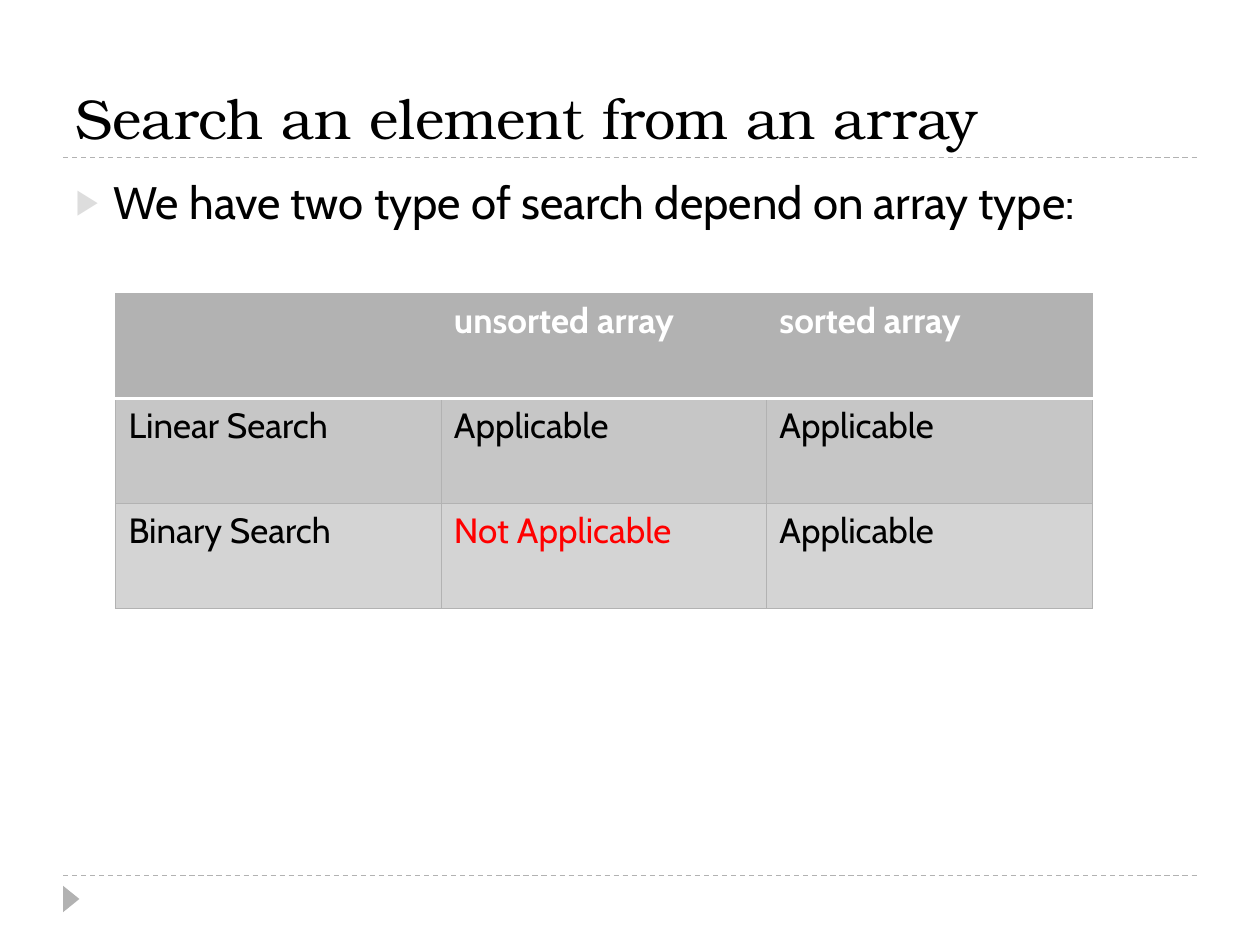
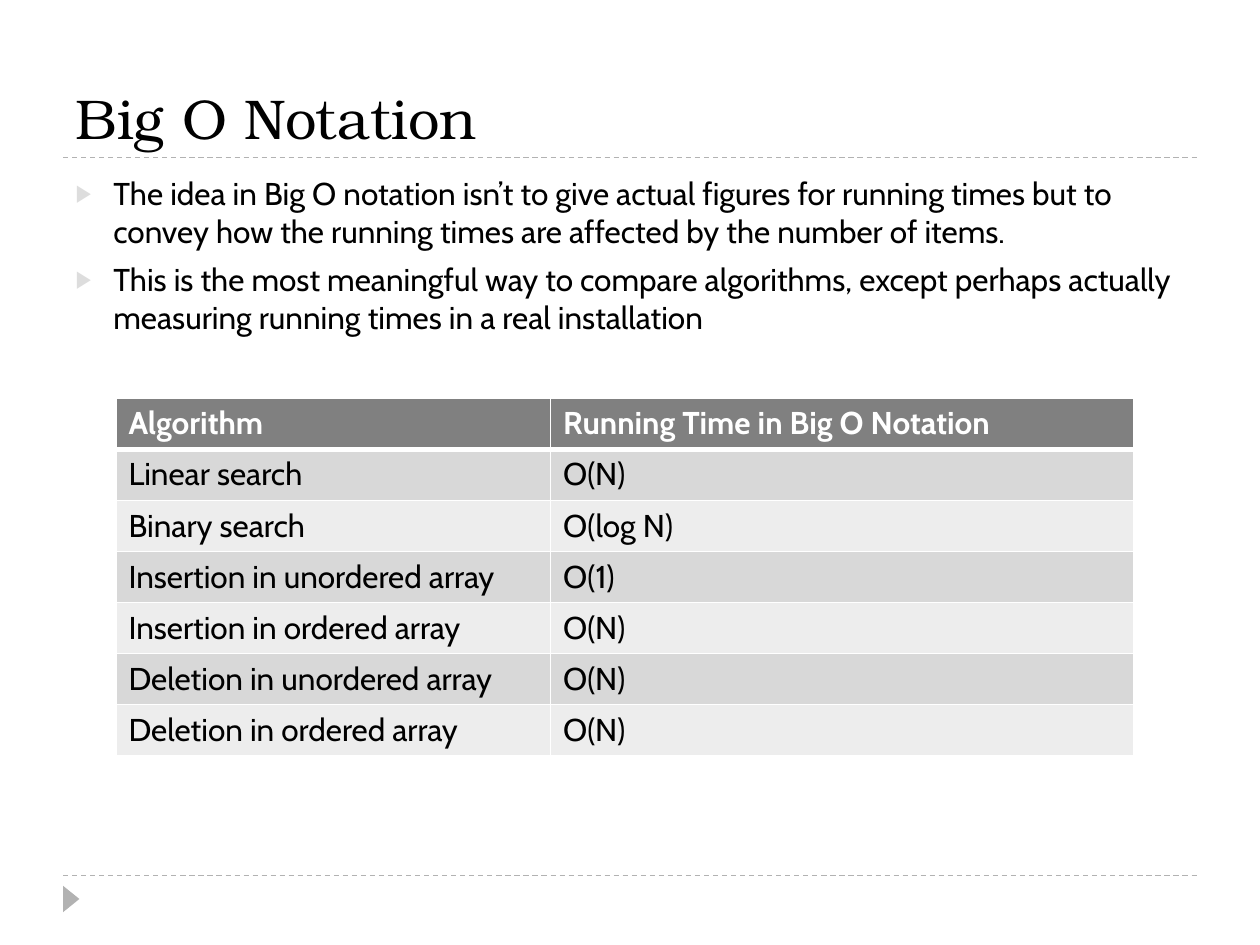
from dataclasses import dataclass

from lxml import etree
from pptx import Presentation
from pptx import util as u
from pptx.dml.color import RGBColor
from pptx.enum import dml, shapes, text
from pptx.oxml.ns import qn

COLORS = {
    "ink": "000000", "white": "FFFFFF", "accent": "B2B2B2", "bullet": "DDDDDD",
    "warning": "FF0000", "gray_header": "808080",
    "search_dark": "C6C6C6", "search_light": "D4D4D4",
    "cost_dark": "D8D8D8", "cost_light": "EDEDED",
}
TITLE_FONT, BODY_FONT = "TeX Gyre Bonum", "Cabin"
MARGIN, CONTENT_WIDTH = 0.5, 9
RULE_HEIGHTS = (1.25, 6.95)


@dataclass(frozen=True)
class TableStyle:
    header: str
    bands: tuple[str, str]
    border: str
    border_pt: float
    header_rule_pt: float
    size: int


@dataclass(frozen=True)
class TableContent:
    rows: tuple[tuple[str, ...], ...]
    top: float
    height: float
    column_widths: tuple[float, ...]
    style: TableStyle
    warning: str = ""


@dataclass(frozen=True)
class SlideContent:
    title: str
    points: tuple[str, ...]
    point_size: int
    table: TableContent


SEARCH_STYLE = TableStyle("accent", ("search_dark", "search_light"), "accent", 0.75, 1.5, 20)
COST_STYLE = TableStyle("gray_header", ("cost_dark", "cost_light"), "white", 1, 3, 18)

SLIDES = (
    SlideContent(
        "Search an element from an array",
        ("We have two type of search depend on array type:",),
        26,
        TableContent(
            (("", "unsorted array", "sorted array"),
             ("Linear Search", "Applicable", "Applicable"),
             ("Binary Search", "Not Applicable", "Applicable")),
            2.33, 2.5, (7.75 / 3,) * 3, SEARCH_STYLE, warning="Not Applicable",
        ),
    ),
    SlideContent(
        "Big O Notation",
        ("The idea in Big O notation isn’t to give actual figures for running times "
         "but to convey how the running times are affected by the number of items.",
         "This is the most meaningful way to compare algorithms, except perhaps "
         "actually measuring running times in a real installation"),
        18,
        TableContent(
            (("Algorithm", "Running Time in Big O Notation"),
             ("Linear search", "O(N)"),
             ("Binary search", "O(log N)"),
             ("Insertion in unordered array", "O(1)"),
             ("Insertion in ordered array", "O(N)"),
             ("Deletion in unordered array", "O(N)"),
             ("Deletion in ordered array", "O(N)")),
            3.16, 2.84, (3.45, 4.63), COST_STYLE,
        ),
    ),
)


def rgb(name: str) -> RGBColor:
    return RGBColor.from_string(COLORS[name])


def add_run(paragraph, words: str, font: str, size: float, color: str = "ink", bold: bool = False) -> None:
    run = paragraph.add_run()
    run.text = words
    run.font.name = font
    run.font.size = u.Pt(size)
    run.font.bold = bold
    run.font.color.rgb = rgb(color)


def place(placeholder, top: float, height: float, anchor):
    """Move a placeholder into the content column and return its text frame."""
    placeholder.left, placeholder.top = u.Inches(MARGIN), u.Inches(top)
    placeholder.width, placeholder.height = u.Inches(CONTENT_WIDTH), u.Inches(height)
    frame = placeholder.text_frame
    frame.word_wrap = True
    frame.auto_size = text.MSO_AUTO_SIZE.NONE
    frame.vertical_anchor = anchor
    return frame


def add_bullet(paragraph) -> None:
    properties = paragraph._p.get_or_add_pPr()
    properties.set("marL", str(u.Inches(0.3)))
    properties.set("indent", str(u.Inches(-0.3)))
    color = etree.SubElement(properties, qn("a:buClr"))
    etree.SubElement(color, qn("a:srgbClr"), val=COLORS["bullet"])
    etree.SubElement(properties, qn("a:buSzPct"), val="76000")
    etree.SubElement(properties, qn("a:buChar"), char="▶")


def add_decoration(slide) -> None:
    """Draw the two dashed rules and the footer marker."""
    for height in RULE_HEIGHTS:
        rule = slide.shapes.add_connector(
            shapes.MSO_CONNECTOR.STRAIGHT, u.Inches(MARGIN), u.Inches(height),
            u.Inches(MARGIN + CONTENT_WIDTH), u.Inches(height))
        rule.line.color.rgb = rgb("accent")
        rule.line.width = u.Pt(0.75)
        rule.line.dash_style = dml.MSO_LINE.DASH
        etree.SubElement(rule._element.spPr, qn("a:effectLst"))
    marker = slide.shapes.add_shape(
        shapes.MSO_SHAPE.ISOSCELES_TRIANGLE,
        u.Inches(0.46), u.Inches(7.07), u.Inches(0.21), u.Inches(0.13))
    marker.rotation = 90
    marker.shadow.inherit = False
    marker.fill.solid()
    marker.fill.fore_color.rgb = rgb("accent")
    marker.line.fill.background()


def add_border(cell, side: str, color: str, width: float) -> None:
    line = etree.SubElement(cell._tc.get_or_add_tcPr(), qn(f"a:ln{side}"), w=str(u.Pt(width)))
    fill = etree.SubElement(line, qn("a:solidFill"))
    etree.SubElement(fill, qn("a:srgbClr"), val=COLORS[color])


def add_table(slide, content: TableContent) -> None:
    style = content.style
    row_count = len(content.rows)
    table = slide.shapes.add_table(
        row_count, len(content.column_widths), u.Inches(0.92), u.Inches(content.top),
        u.Inches(sum(content.column_widths)), u.Inches(content.height)).table
    for column, width in zip(table.columns, content.column_widths):
        column.width = u.Inches(width)
    for row_index, (row, entries) in enumerate(zip(table.rows, content.rows)):
        row.height = u.Inches(content.height / row_count)
        is_header = row_index == 0
        header_rule_side = {0: "B", 1: "T"}.get(row_index)
        for cell, words in zip(row.cells, entries):
            for side in "LRTB":
                if side == header_rule_side:
                    add_border(cell, side, "white", style.header_rule_pt)
                else:
                    add_border(cell, side, style.border, style.border_pt)
            cell.fill.solid()
            cell.fill.fore_color.rgb = rgb(style.header if is_header else style.bands[(row_index - 1) % 2])
            if words:
                color = "white" if is_header else "warning" if words == content.warning else "ink"
                add_run(cell.text_frame.paragraphs[0], words, BODY_FONT, style.size, color, is_header)


def add_slide(deck, content: SlideContent) -> None:
    slide = deck.slides.add_slide(deck.slide_layouts[1])
    add_decoration(slide)
    title = place(slide.shapes.title, 0.17, 1.08, text.MSO_ANCHOR.BOTTOM).paragraphs[0]
    title.alignment = text.PP_ALIGN.LEFT
    add_run(title, content.title, TITLE_FONT, 32)

    body = place(slide.placeholders[1], 1.33, 5.4, text.MSO_ANCHOR.TOP)
    for index, point in enumerate(content.points):
        paragraph = body.add_paragraph() if index else body.paragraphs[0]
        add_bullet(paragraph)
        paragraph.space_before = u.Pt(6 if index else 0)
        add_run(paragraph, point, BODY_FONT, content.point_size)
    add_table(slide, content.table)


def main() -> None:
    deck = Presentation()
    deck.slide_width, deck.slide_height = u.Inches(10), u.Inches(7.5)
    for content in SLIDES:
        add_slide(deck, content)
    deck.save("out.pptx")


if __name__ == "__main__":
    main()
